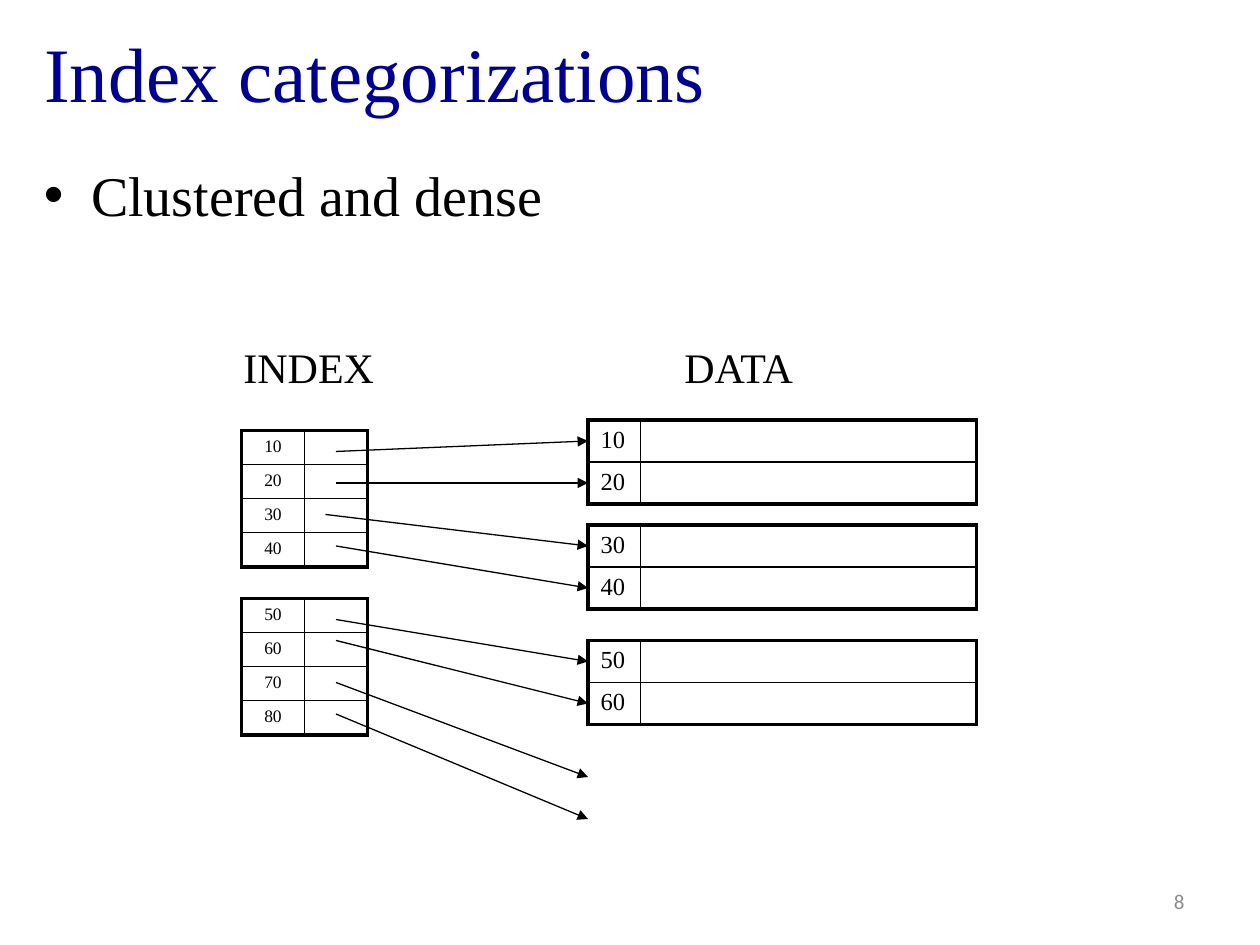
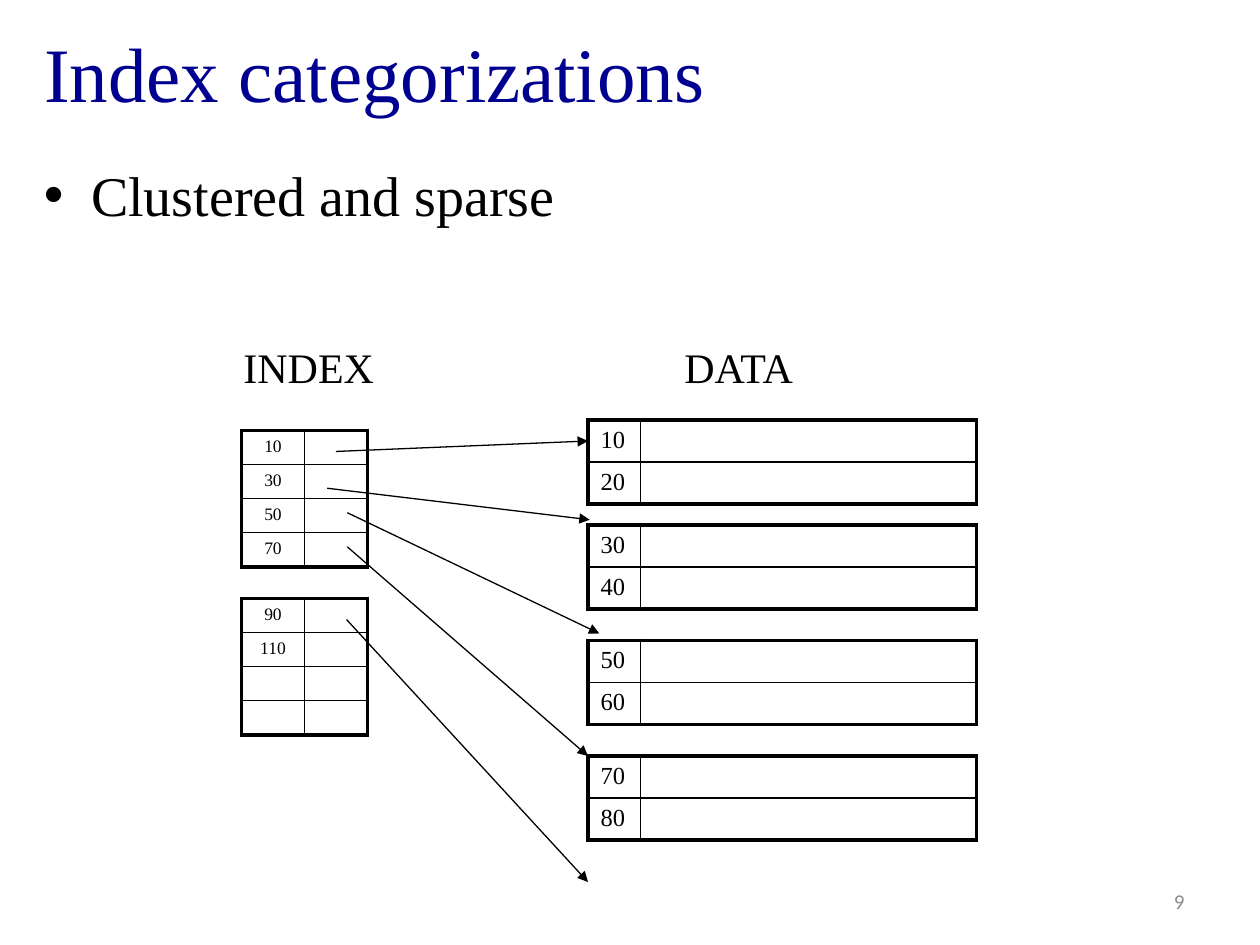
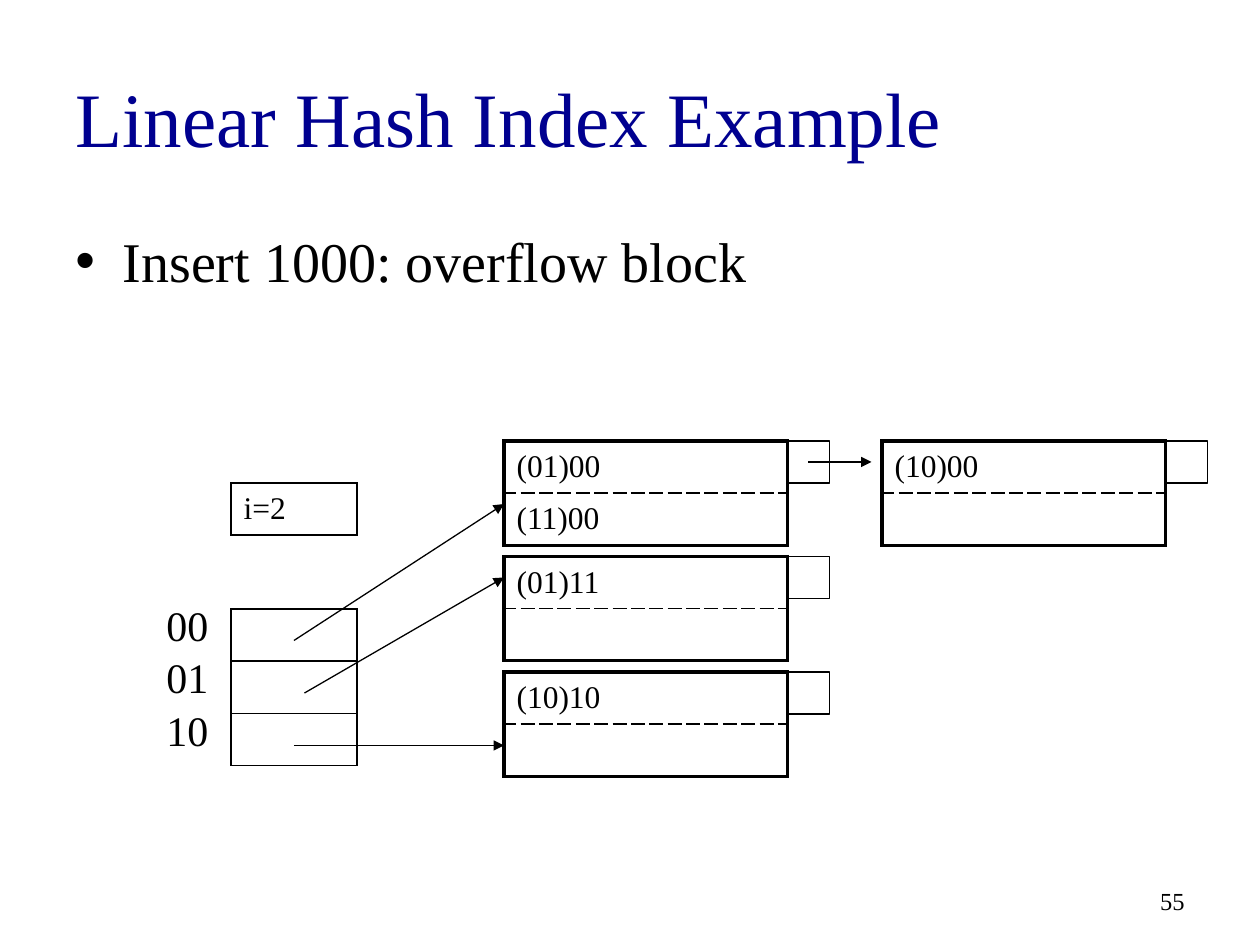
import pptx
import pptx.util
import pptx.dml.color
import pptx.enum.shapes
import pptx.enum.text
import pptx.oxml.ns
from lxml import etree

Pt = pptx.util.Pt
qn = pptx.oxml.ns.qn
ALIGN = pptx.enum.text.PP_ALIGN
ANCHOR = pptx.enum.text.MSO_ANCHOR

# Shared style
COLORS = {"title": "000090", "text": "000000", "line": "000000", "number": "8C8C8C"}
SERIF = "Times New Roman"
THIN, THICK, ARROW = 1, 2.25, 0.75
NUMBER_BOX = (516, 500.4, 168, 28.8)

# Title and body boxes of the two page designs: left, top, width, height
WIDE = {"title": (18, 3.6, 687.6, 75), "body": (18, 88, 687.6, 441)}
INSET = {"title": (36, 21.6, 648, 90), "body": (36, 126, 648, 356)}
GRAY_NUMBER = {"size": 12, "font": "Calibri", "color": "number"}
BLACK_NUMBER = {"size": 14}

# Index slides: keys per block, and arrows as (x1, y1, x2, y2)
INDEX_X, INDEX_TOPS, INDEX_COLS, INDEX_ROW = 138, (246, 342), (36, 36), 19.5
DATA_X, DATA_TOPS, DATA_COLS, DATA_ROW = 336, (240, 300, 366, 432), (30, 192), 24
HEADINGS = [("DATA", (384, 191.5, 77, 36)), ("INDEX", (132, 191.5, 90, 36))]
INDEX_SLIDES = [
    {
        "bullet": "Clustered and dense", "number": "8",
        "index": [("10", "20", "30", "40"), ("50", "60", "70", "80")],
        "data": [("10", "20"), ("30", "40"), ("50", "60")],
        "arrows": [(192, 258, 336, 252), (192, 276, 336, 276),
                   (186, 294, 336, 312), (192, 312, 336, 336),
                   (192, 354, 336, 378), (192, 366, 336, 402),
                   (192, 390, 336, 444), (192, 408, 336, 468)],
    },
    {
        "bullet": "Clustered and sparse", "number": "9",
        "index": [("10", "30", "50", "70"), ("90", "110", "", "")],
        "data": [("10", "20"), ("30", "40"), ("50", "60"), ("70", "80")],
        "arrows": [(192, 258, 336, 252), (187, 279, 337, 297),
                   (198.5, 293, 342.5, 362), (198.5, 312.5, 336, 432),
                   (198, 354, 336, 504)],
    },
]

# Linear hash slide: buckets as (left, top, entries)
BUCKET_W, HASH_ROW, TAG = 162, 29.8, 24
BUCKETS = [(288, 252, ("(01)00", "(11)00")), (288, 318, ("(01)11", "")),
           (288, 384, ("(10)10", "")), (504, 252, ("(10)00", ""))]
DIRECTORY_X, DIRECTORY_Y, DIRECTORY_W = 132, 348, 72
HASH_BITS = ("00", "01", "10")
HASH_ARROWS = [(168, 366, 288, 288), (174, 396, 288, 330),
               (168, 426, 288, 426), (462, 264, 498, 264)]


def rgb(name):
    return pptx.dml.color.RGBColor.from_string(COLORS[name])


def place(sp, box):
    sp.left, sp.top, sp.width, sp.height = map(Pt, box)


def add_run(p, text, size, font=SERIF, color="text"):
    r = p.add_run()
    r.text = text
    r.font.size = Pt(size)
    r.font.name = font
    r.font.color.rgb = rgb(color)


def add_text(s, box, text, wrap=True, align=ALIGN.LEFT, anchor=ANCHOR.TOP, **style):
    tf = s.shapes.add_textbox(*map(Pt, box)).text_frame
    tf.word_wrap = wrap
    tf.vertical_anchor = anchor
    p = tf.paragraphs[0]
    p.alignment = align
    add_run(p, text, **style)
    return p


def add_page(prs, design, title, bullet, number, number_style):
    """Slide with title, one bullet and page number."""
    s = prs.slides.add_slide(prs.slide_layouts[5])
    place(s.shapes.title, design["title"])
    tf = s.shapes.title.text_frame
    tf.vertical_anchor = ANCHOR.MIDDLE
    tf.paragraphs[0].alignment = ALIGN.LEFT
    add_run(tf.paragraphs[0], title, 44, color="title")

    p = add_text(s, design["body"], bullet, size=32)
    p.space_before = Pt(4)
    pPr = p._p.get_or_add_pPr()
    pPr.set("marL", str(Pt(27)))
    pPr.set("indent", str(Pt(-27)))
    etree.SubElement(pPr, qn("a:buFont"), typeface="Arial")
    etree.SubElement(pPr, qn("a:buChar"), char="•")

    add_text(s, NUMBER_BOX, number, align=ALIGN.RIGHT, anchor=ANCHOR.MIDDLE, **number_style)
    return s


def set_border(cell, side, width, dash):
    """Borders come before the fill in the cell properties."""
    tcPr = cell._tc.get_or_add_tcPr()
    ln = etree.Element(qn("a:" + side), w=str(Pt(width)))
    fill = etree.SubElement(ln, qn("a:solidFill"))
    etree.SubElement(fill, qn("a:srgbClr"), val=COLORS["line"])
    etree.SubElement(ln, qn("a:prstDash"), val=dash)
    tcPr.insert(len(tcPr) - 1, ln)


def add_grid(s, x, y, cols, row_h, rows, size, outer=THICK, dash="solid",
             align=ALIGN.LEFT, anchor=ANCHOR.TOP):
    """Table with an outer frame and thin inner lines; dash is for row lines."""
    n, m = len(rows), len(cols)
    table = s.shapes.add_table(n, m, Pt(x), Pt(y), Pt(sum(cols)), Pt(row_h * n)).table
    table.first_row = table.horz_banding = False
    for j, width in enumerate(cols):
        table.columns[j].width = Pt(width)
    for i, row in enumerate(rows):
        table.rows[i].height = Pt(row_h)
        for j, text in enumerate(row):
            cell = table.cell(i, j)
            cell.fill.background()
            cell.vertical_anchor = anchor
            edges = {"lnL": j == 0, "lnR": j == m - 1, "lnT": i == 0, "lnB": i == n - 1}
            for side, is_outer in edges.items():
                inner_dash = dash if side in ("lnT", "lnB") else "solid"
                set_border(cell, side, outer if is_outer else THIN,
                           "solid" if is_outer else inner_dash)
            p = cell.text_frame.paragraphs[0]
            p.alignment = align
            if text:
                add_run(p, text, size)
            else:  # keeps an empty row from growing
                etree.SubElement(p._p, qn("a:endParaRPr"), sz=str(size * 100))


def add_arrow(s, x1, y1, x2, y2):
    c = s.shapes.add_connector(pptx.enum.shapes.MSO_CONNECTOR.STRAIGHT,
                               Pt(x1), Pt(y1), Pt(x2), Pt(y2))
    c.line.color.rgb = rgb("line")
    c.line.width = Pt(ARROW)
    etree.SubElement(c.line._get_or_add_ln(), qn("a:tailEnd"), type="triangle")
    etree.SubElement(c._element.spPr, qn("a:effectLst"))


def add_tag(s, x, y):
    sp = s.shapes.add_shape(pptx.enum.shapes.MSO_SHAPE.RECTANGLE,
                            Pt(x), Pt(y), Pt(TAG), Pt(TAG))
    sp.shadow.inherit = False
    sp.fill.background()
    sp.line.color.rgb = rgb("line")
    sp.line.width = Pt(ARROW)


def build_index_slide(prs, page):
    s = add_page(prs, WIDE, "Index categorizations", page["bullet"],
                 page["number"], GRAY_NUMBER)
    for y, keys in zip(INDEX_TOPS, page["index"]):
        add_grid(s, INDEX_X, y, INDEX_COLS, INDEX_ROW, [(k, "") for k in keys], 10,
                 align=ALIGN.CENTER)
    for y, keys in zip(DATA_TOPS, page["data"]):
        add_grid(s, DATA_X, y, DATA_COLS, DATA_ROW, [(k, "") for k in keys], 14)
    for arrow in page["arrows"]:
        add_arrow(s, *arrow)
    for text, box in HEADINGS:
        add_text(s, box, text, wrap=False, size=24)


def build_hash_slide(prs):
    s = add_page(prs, INSET, "Linear Hash Index Example", "Insert 1000: overflow block",
                 "55", BLACK_NUMBER)
    # Buckets with their overflow tags
    for x, y, entries in BUCKETS:
        add_grid(s, x, y, (BUCKET_W,), HASH_ROW, [(e,) for e in entries], 18,
                 dash="lgDash", anchor=ANCHOR.MIDDLE)
        add_tag(s, x + BUCKET_W, y)
    # Directory and its bit count
    for y, rows in ((276, [("i=2",)]), (DIRECTORY_Y, [("",)] * len(HASH_BITS))):
        add_grid(s, DIRECTORY_X, y, (DIRECTORY_W,), HASH_ROW, rows, 18,
                 outer=THIN, anchor=ANCHOR.MIDDLE)
    # Bit labels, in boxes wide enough for both digits on one line
    for i, bits in enumerate(HASH_BITS):
        add_text(s, (88, DIRECTORY_Y - 9 + 30 * i, 40, 36), bits, wrap=False, size=24)
    for arrow in HASH_ARROWS:
        add_arrow(s, *arrow)


def main():
    prs = pptx.Presentation()
    prs.slide_width, prs.slide_height = Pt(720), Pt(540)
    for page in INDEX_SLIDES:
        build_index_slide(prs, page)
    build_hash_slide(prs)
    prs.save("out.pptx")


if __name__ == "__main__":
    main()
